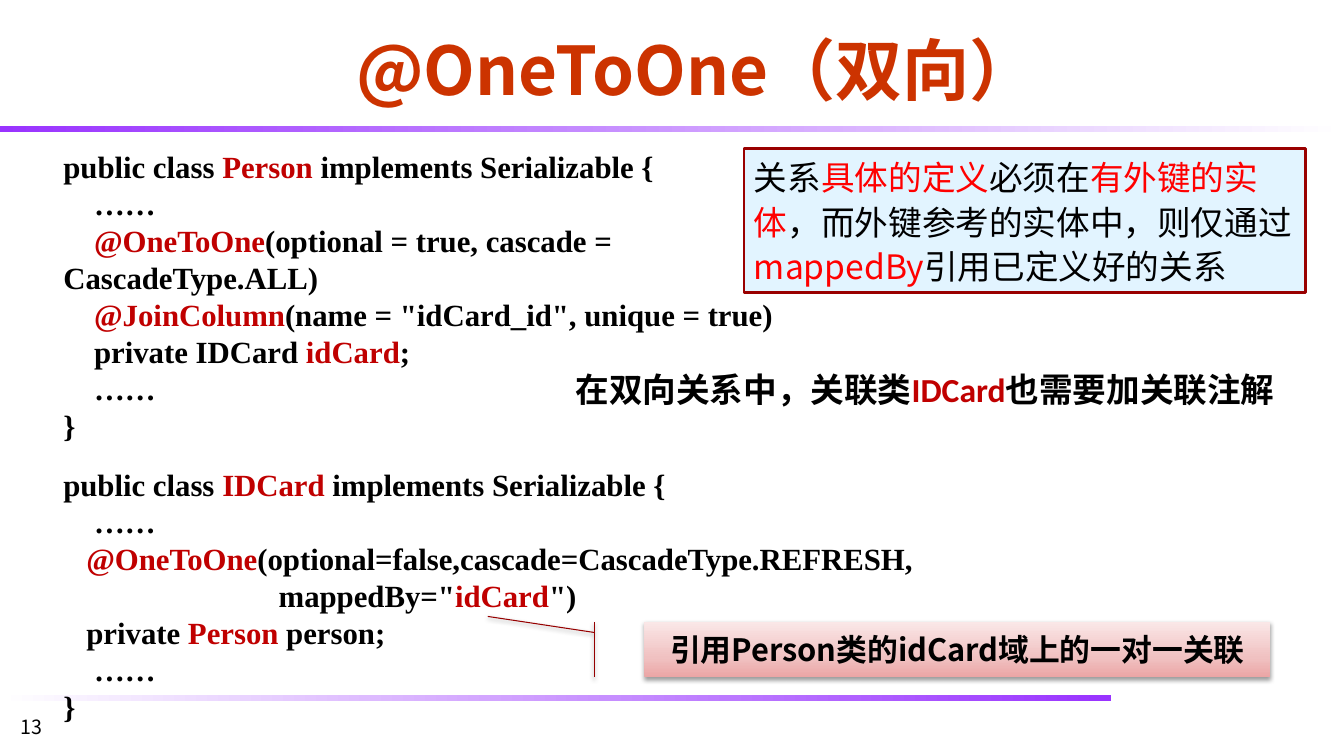
from lxml import etree
from pptx import Presentation
from pptx.dml.color import RGBColor
from pptx.enum.shapes import MSO_SHAPE
from pptx.enum.text import MSO_ANCHOR, MSO_AUTO_SIZE, PP_ALIGN
from pptx.oxml.ns import qn
from pptx.util import Pt

PX = 9144  # 100 px to the inch
RECT = MSO_SHAPE.RECTANGLE
CALLOUT = MSO_SHAPE.LINE_CALLOUT_1_ACCENT_BAR
CENTER = PP_ALIGN.CENTER
LEFT = PP_ALIGN.LEFT
TOP, MIDDLE, BOTTOM = MSO_ANCHOR.TOP, MSO_ANCHOR.MIDDLE, MSO_ANCHOR.BOTTOM

BLACK = RGBColor(0x00, 0x00, 0x00)
WHITE = RGBColor(0xFF, 0xFF, 0xFF)
ORANGE = RGBColor(0xCC, 0x33, 0x00)
PURPLE = RGBColor(0x99, 0x33, 0xFF)
CRIMSON = RGBColor(0xC0, 0x00, 0x00)
RED = RGBColor(0xFF, 0x00, 0x00)
MAROON = RGBColor(0x99, 0x00, 0x00)
BROWN = RGBColor(0x96, 0x00, 0x00)
SKY = RGBColor(0xE2, 0xF4, 0xFF)
ROSE = RGBColor(0xEB, 0xA5, 0xA5)
PINK = RGBColor(0xF0, 0xC1, 0xC1)
BLUSH = RGBColor(0xFA, 0xE7, 0xE7)

SERIF = "Times New Roman"
SANS = "Calibri"
HAN = "Noto Sans CJK SC"
HAN_JP = "Noto Sans CJK JP"

# Text between bars takes the accent colour.
PERSON = """public class |Person| implements Serializable {
    ……
    |@OneToOne|(optional = true, cascade = CascadeType.ALL)
    |@JoinColumn|(name = "idCard_id", unique = true)
    private IDCard |idCard|;
    ……
}"""
CARD = """public class |IDCard |implements Serializable {
    ……
   |@OneToOne|(optional=false,cascade=CascadeType.REFRESH,
                            mappedBy="|idCard|")
   private |Person| person;
    ……
}"""
RULE = ("关系|具体的定义|必须在|有外键的实体|，而外键参考的实体中，"
        "则仅通过|mappedBy|引用已定义好的关系")


def place(item, box):
    item.left, item.top, item.width, item.height = [n * PX for n in box]


def write(item, text, size, face, bold=True, color=BLACK, accent=CRIMSON,
          align=LEFT, anchor=TOP, space=None):
    """Fill a shape with lines whose barred parts take the accent colour."""
    frame = item.text_frame
    frame.word_wrap = True
    frame.auto_size = MSO_AUTO_SIZE.NONE
    frame.vertical_anchor = anchor
    for i, line in enumerate(text.split("\n")):
        para = frame.add_paragraph() if i else frame.paragraphs[0]
        para.alignment = align
        # Keep closing punctuation inside the text area.
        para._p.get_or_add_pPr().set("hangingPunct", "0")
        if space:
            para.line_spacing = space
        for j, part in enumerate(line.split("|")):
            if not part:
                continue
            run = para.add_run()
            run.text = part
            font = run.font
            font.size, font.bold, font.name = Pt(size), bold, face
            font.color.rgb = accent if j % 2 else color
            east = etree.SubElement(font._element, qn("a:ea"))
            east.set("typeface", face)


def add_text(slide, box, *args, **style):
    item = slide.shapes.add_textbox(*[n * PX for n in box])
    write(item, *args, **style)


def add_shape(slide, kind, box, line=None, width=0):
    item = slide.shapes.add_shape(kind, *[n * PX for n in box])
    item.shadow.inherit = False
    if line is None:
        item.line.fill.background()
    else:
        item.line.color.rgb = line
        item.line.width = Pt(width)
    return item


def blend(item, stops, angle=0):
    """Give a linear gradient from (percent, colour) stops."""
    item.fill.gradient()
    item.fill.gradient_angle = angle
    group = item._element.spPr.find(".//" + qn("a:gsLst"))
    for old in list(group):
        group.remove(old)
    for spot, color in stops:
        stop = etree.SubElement(group, qn("a:gs"), pos=str(spot * 1000))
        etree.SubElement(stop, qn("a:srgbClr"), val=str(color))


def shade(item):
    """Drop a soft black shadow straight down."""
    group = item._element.spPr.find(qn("a:effectLst"))
    drop = etree.SubElement(group, qn("a:outerShdw"), blurRad="40000",
                            dist="20000", dir="5400000", rotWithShape="0")
    color = etree.SubElement(drop, qn("a:srgbClr"), val=str(BLACK))
    etree.SubElement(color, qn("a:alpha"), val="38000")


def add_bar(slide, box, start, end):
    blend(add_shape(slide, RECT, box), [(0, start), (100, end)])


def add_note(slide):
    note = add_shape(slide, CALLOUT, (639, 617, 621, 55), BROWN, 0.75)
    for i, value in enumerate((0.19, -0.08, -0.1, -0.25)):
        note.adjustments[i] = value
    blend(note, [(0, ROSE), (35, PINK), (100, BLUSH)], 90)
    shade(note)
    write(note, "引用Person类的idCard域上的一对一关联", 22, HAN,
          align=CENTER, anchor=MIDDLE)


def add_rule(slide):
    rule = add_shape(slide, RECT, (738, 147, 557, 143), MAROON, 2)
    rule.fill.solid()
    rule.fill.fore_color.rgb = SKY
    write(rule, RULE, 24, HAN, bold=False, accent=RED, space=1.1)


def main():
    deck = Presentation()
    deck.slide_width, deck.slide_height = 1333 * PX, 750 * PX
    slide = deck.slides.add_slide(deck.slide_layouts[5])
    add_bar(slide, (0, 125, 1333, 6), PURPLE, WHITE)
    add_bar(slide, (0, 690, 1102, 6), WHITE, PURPLE)
    title = slide.shapes.title
    place(title, (122, 17, 1138, 96))
    write(title, "@OneToOne（双向）", 48, HAN, color=ORANGE,
          align=CENTER, anchor=BOTTOM)
    add_text(slide, (11, 704, 78, 29), "13", 14, HAN_JP, bold=False)
    add_text(slide, (53, 142, 758, 306), PERSON, 22, SERIF)
    add_text(slide, (561, 361, 716, 50),
             "在双向关系中，关联类|IDCard|也需要加关联注解", 24, SANS)
    add_text(slide, (53, 457, 864, 269), CARD, 22, SERIF)
    add_note(slide)
    add_rule(slide)
    deck.save("out.pptx")


if __name__ == "__main__":
    main()
